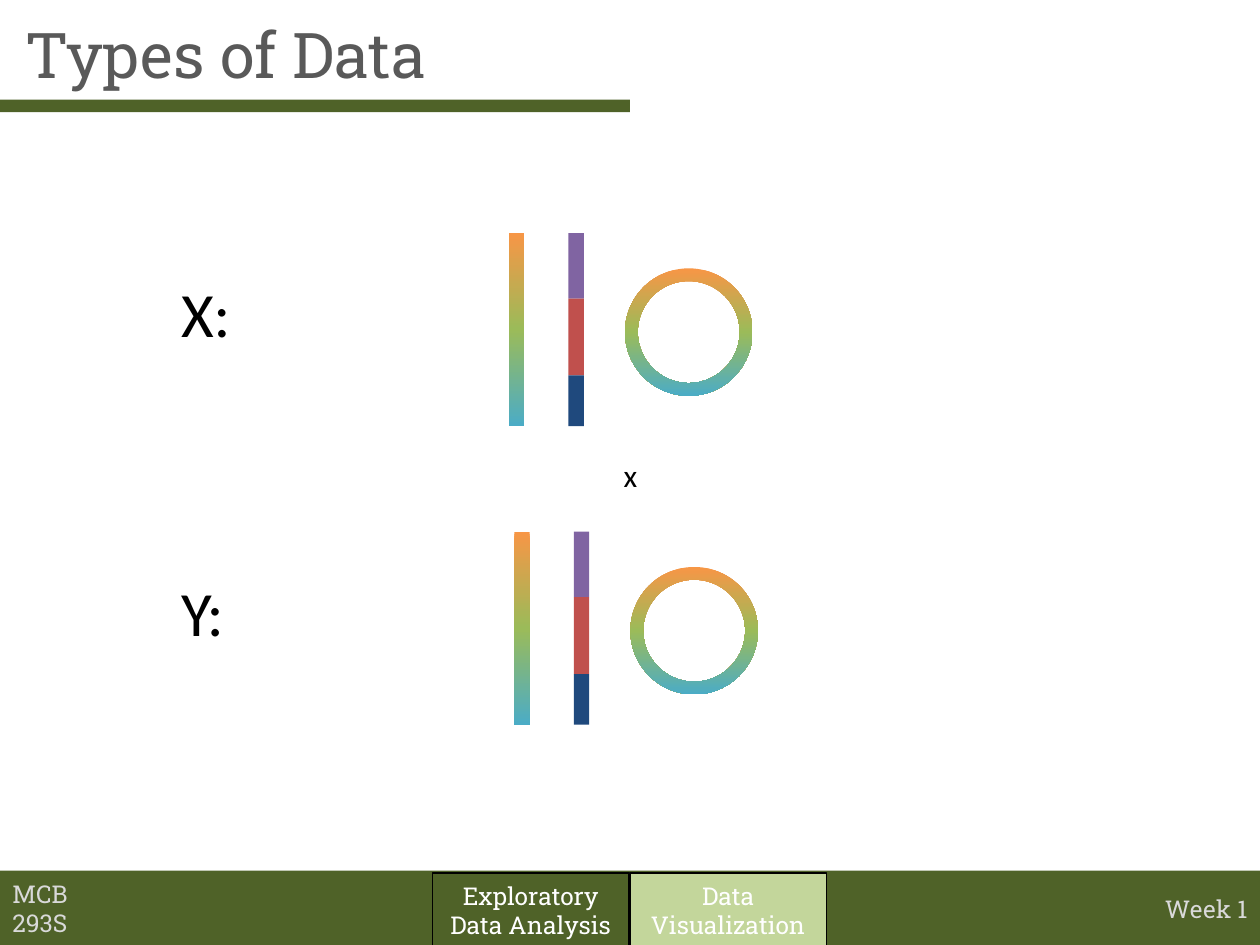
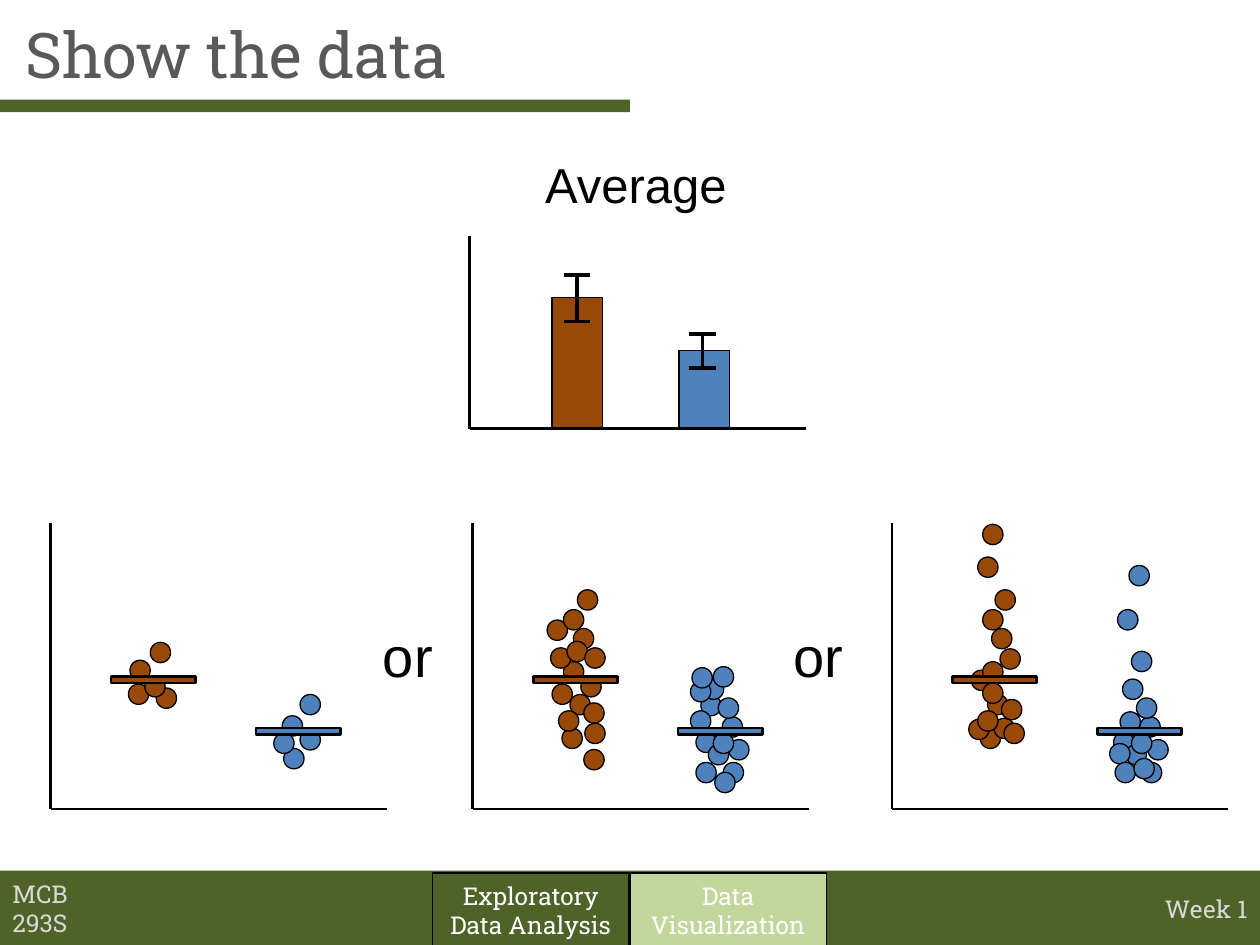
import pptx
import pptx.dml.color
import pptx.enum.shapes
import pptx.enum.text
import pptx.oxml
import pptx.oxml.ns
import pptx.util
from lxml import etree

Cm = pptx.util.Cm
Pt = pptx.util.Pt
color = pptx.dml.color.RGBColor.from_string
kinds = pptx.enum.shapes.MSO_SHAPE
align = pptx.enum.text.PP_ALIGN
qn = pptx.oxml.ns.qn

SLAB = "Roboto Slab"
BLACK = "000000"
GREEN = "4F6228"
LIGHT_GREEN = "C3D69B"
PALE_GRAY = "D9D9D9"
BROWN = "984807"
BLUE = "4F81BD"
RAINBOW = (
    f'<a:gradFill {pptx.oxml.ns.nsdecls("a")} rotWithShape="1"><a:gsLst>'
    '<a:gs pos="0"><a:srgbClr val="F79646"/></a:gs>'
    '<a:gs pos="50000"><a:srgbClr val="9BBB59"/></a:gs>'
    '<a:gs pos="100000"><a:srgbClr val="4BACC6"/></a:gs>'
    '</a:gsLst><a:lin ang="5400000" scaled="0"/></a:gradFill>'
)


def add_shape(slide, kind, box, fill, outline=None):
    shape = slide.shapes.add_shape(kind, *map(Cm, box))
    shape.shadow.inherit = False
    if fill == RAINBOW:
        shape.fill.background()
        properties = shape._element.spPr
        properties.replace(properties.find(qn("a:noFill")), pptx.oxml.parse_xml(RAINBOW))
    else:
        shape.fill.solid()
        shape.fill.fore_color.rgb = color(fill)
    if outline:
        shape.line.color.rgb = color(BLACK)
        shape.line.width = Pt(outline)
    else:
        shape.line.fill.background()
    return shape


def set_text(shape, text, size, font, text_color, alignment=align.LEFT, wrap=False, middle=False):
    frame = shape.text_frame
    frame.text = text
    frame.word_wrap = wrap
    if middle:
        frame.vertical_anchor = pptx.enum.text.MSO_ANCHOR.MIDDLE
    for paragraph in frame.paragraphs:
        paragraph.alignment = alignment
        paragraph.font.size = Pt(size)
        paragraph.font.name = font
        paragraph.font.color.rgb = color(text_color)


presentation = pptx.Presentation()
presentation.slide_width = Cm(25.4)
presentation.slide_height = Cm(19.05)

slides = []
for title in ("Types of Data", "Show the data"):
    slide = presentation.slides.add_slide(presentation.slide_layouts[5])
    slides.append(slide)
    heading = slide.shapes.title
    heading.left, heading.top, heading.width, heading.height = map(Cm, (0.25, 0, 24.87, 2.13))
    set_text(heading, title, 36, SLAB, "595959", wrap=True, middle=True)

    add_shape(slide, kinds.RECTANGLE, (0, 2.01, 12.7, 0.25), GREEN)
    add_shape(slide, kinds.RECTANGLE, (0, 17.55, 25.4, 1.5), GREEN)
    for left, text, fill in (
        (8.72, "Exploratory\nData Analysis", GREEN),
        (12.7, "Data Visualization", LIGHT_GREEN),
    ):
        tab = add_shape(slide, kinds.RECTANGLE, (left, 17.6, 3.96, 1.5), fill, 0.75)
        set_text(tab, text, 14, SLAB, "FFFFFF", align.CENTER, wrap=True, middle=True)
    for left, width, text, alignment, wrap in (
        (0, 2.82, "MCB 293S", align.LEFT, True),
        (23.19, 2.21, "Week 1", align.RIGHT, False),
    ):
        footer = slide.shapes.add_textbox(*map(Cm, (left, 17.88, width, 0.86)))
        set_text(footer, text, 14, SLAB, PALE_GRAY, alignment, wrap, middle=True)

types_slide, data_slide = slides

for axis_name, left, top in (("X:", 10.26, 4.7), ("Y:", 10.37, 10.72)):
    label = types_slide.shapes.add_textbox(*map(Cm, (3.4, top + 0.71, 1.52, 1.8)))
    set_text(label, axis_name, 36, "Calibri", BLACK)
    add_shape(types_slide, kinds.RECTANGLE, (left, top, 0.31, 3.89), RAINBOW)
    category_top = top
    for height, fill in ((1.32, "8064A2"), (1.55, "C0504D"), (1.02, "1F497D")):
        add_shape(types_slide, kinds.RECTANGLE, (left + 1.2, category_top, 0.31, height), fill)
        category_top += height
    ring = add_shape(types_slide, kinds.DONUT, (left + 2.34, top + 0.71, 2.57, 2.57), RAINBOW)
    ring.adjustments[0] = 0.1

times = types_slide.shapes.add_textbox(*map(Cm, (12.32, 9.07, 0.79, 1.02)))
set_text(times, "x", 18, "Calibri", BLACK)

brown_dots_small = [(1.57, 13.79), (2.13, 13.87), (1.6, 13.31), (1.9, 13.64), (2.01, 12.95)]
blue_dots_small = [(4.67, 14.43), (5.03, 14), (5.03, 14.71), (4.7, 15.09), (4.5, 14.78)]
brown_dots_even = [
    (1.8, 14.68), (1.6, 13.79), (2.24, 15.11), (1.83, 13.34), (2.18, 13.64), (1.57, 13.06),
    (1.96, 14), (2.03, 12.67), (1.5, 12.5), (1.83, 12.29), (2.11, 11.89), (2.24, 14.17),
    (1.73, 14.33), (1.9, 12.93), (2.26, 14.58), (2.26, 13.06),
]
blue_dots_even = [
    (4.6, 14.02), (5.03, 14.45), (5.16, 14.91), (4.95, 14.07), (4.5, 14.76), (4.75, 15.01),
    (4.65, 13.69), (4.39, 14.33), (4.85, 13.44), (5.05, 15.37), (4.5, 15.37), (4.88, 15.57),
    (4.85, 14.78), (4.39, 13.74), (4.42, 13.46),
]
brown_dots_skewed = [
    (1.78, 14.68), (1.6, 13.51), (2.06, 14.48), (1.83, 13.34), (2.18, 13.08), (1.55, 14.5),
    (1.93, 14), (2.01, 12.67), (1.83, 13.77), (1.83, 12.29), (2.08, 11.89), (2.21, 14.1),
    (1.73, 14.33), (1.83, 10.57), (2.26, 14.58), (1.73, 11.23),
]
blue_dots_skewed = [
    (4.6, 14.35), (5, 14.45), (5.16, 14.91), (4.93, 14.07), (4.47, 14.76), (4.72, 15.01),
    (4.65, 13.69), (4.39, 14.99), (4.78, 11.4), (5.03, 15.37), (4.5, 15.37), (4.88, 15.29),
    (4.83, 14.78), (4.83, 13.13), (4.55, 12.29),
]

lines = []
for left, top, bottom in ((9.47, 4.75, 8.64), (1.02, 10.54, 16.31),
                          (9.53, 10.54, 16.31), (17.98, 10.54, 16.31)):
    lines.append((left, top, left, bottom, 1.5))
    lines.append((left, bottom, left + 6.78, bottom, 1.5))

for left, top, fill, center, error_top, error_bottom in (
    (11.13, 6, BROWN, 11.63, 5.54, 6.48),
    (13.69, 7.07, BLUE, 14.16, 6.73, 7.42),
):
    add_shape(data_slide, kinds.RECTANGLE, (left, top, 1.02, 8.63 - top), fill, 0.75)
    lines.append((center, error_top, center, error_bottom, 2))
    for cap in (error_top, error_bottom):
        lines.append((center - 0.27, cap, center + 0.27, cap, 2))

for left, brown_dots, blue_dots in (
    (1.02, brown_dots_small, blue_dots_small),
    (9.53, brown_dots_even, blue_dots_even),
    (17.98, brown_dots_skewed, blue_dots_skewed),
):
    for dots, fill, mean_left, mean_top in (
        (brown_dots, BROWN, 1.22, 13.64),
        (blue_dots, BLUE, 4.14, 14.68),
    ):
        for dot_left, dot_top in dots:
            add_shape(data_slide, kinds.OVAL, (left + dot_left, dot_top, 0.41, 0.41), fill, 0.75)
        add_shape(data_slide, kinds.RECTANGLE, (left + mean_left, mean_top, 1.7, 0.13), fill, 1.5)

for start_x, start_y, end_x, end_y, width in lines:
    line = data_slide.shapes.add_connector(
        pptx.enum.shapes.MSO_CONNECTOR.STRAIGHT, *map(Cm, (start_x, start_y, end_x, end_y)))
    line.line.color.rgb = color(BLACK)
    line.line.width = Pt(width)
    etree.SubElement(line._element.spPr, qn("a:effectLst"))

for text, box, size in (
    ("Average", (10.74, 3, 4.22, 1.45), 28),
    ("or", (7.47, 12.4, 1.52, 1.63), 32),
    ("or", (15.75, 12.4, 1.52, 1.63), 32),
):
    set_text(data_slide.shapes.add_textbox(*map(Cm, box)), text, size, "Arial", BLACK)

presentation.save("out.pptx")
